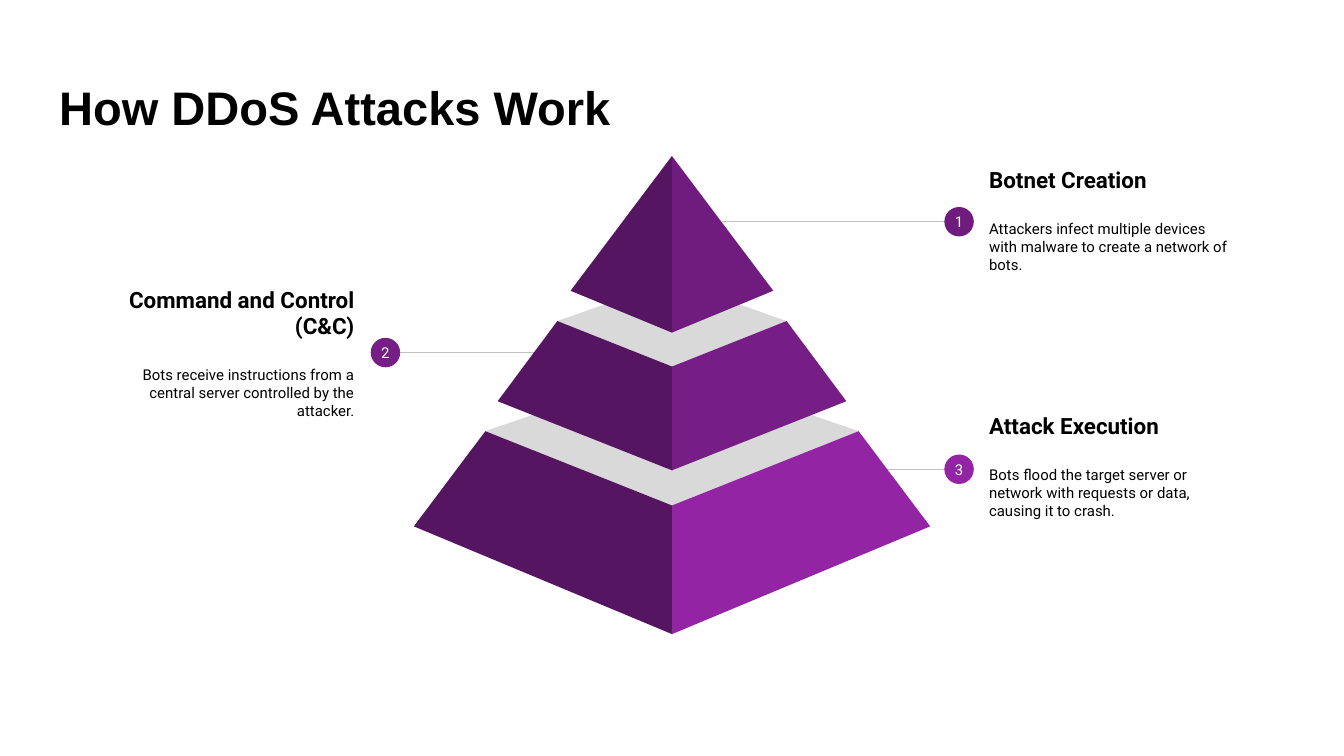
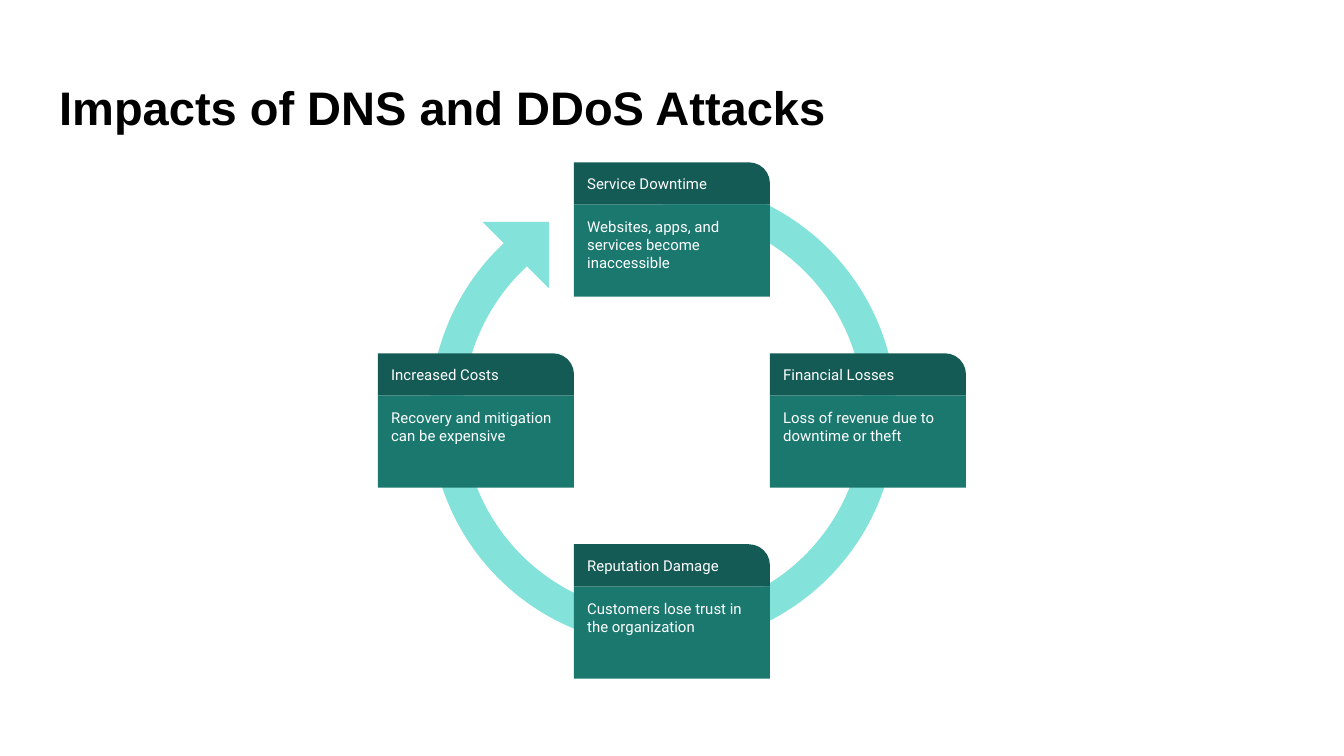
from dataclasses import dataclass

from lxml.etree import SubElement
from pptx import Presentation
from pptx.dml.color import RGBColor
from pptx.enum.shapes import MSO_CONNECTOR, MSO_SHAPE
from pptx.enum.text import MSO_ANCHOR as Anchor
from pptx.enum.text import MSO_AUTO_SIZE as AutoSize
from pptx.enum.text import PP_ALIGN as Align
from pptx.oxml.ns import qn
from pptx.util import Pt


@dataclass(frozen=True)
class Theme:
    title_font: str = "Arial"
    body_font: str = "Roboto"
    title_size: float = 25.2
    heading_size: float = 12
    body_size: float = 8
    inset: float = 7.2
    black: str = "000000"
    white: str = "FFFFFF"
    rule: str = "C2C2C2"
    cap: str = "D9D9D9"
    pyramid_shade: str = "561561"
    purples: tuple[str, ...] = ("701C7F", "771E86", "9325A5")
    card_header: str = "155B55"
    card_body: str = "1B786F"
    cycle: str = "83E3DA"


THEME = Theme()
Point = tuple[float, float]


@dataclass(frozen=True)
class Tier:
    """Points are offsets from the pyramid's axis, listed for the left half."""

    color: str
    left_face: tuple[Point, ...]
    cap_back: float | None = None


@dataclass(frozen=True)
class Callout:
    number: int
    heading: str
    detail: str
    color: str
    text_left: float
    text_top: float
    align: Align
    badge_center: Point
    line_start: float


@dataclass(frozen=True)
class Card:
    heading: str
    detail: str
    column: int
    row: int


AXIS = 360
TIERS = (
    Tier(THEME.purples[2], ((-100, 231), (-138.3, 282), (0, 339.7), (0, 270.8)), 196.5),
    Tier(THEME.purples[1], ((-61.4, 172), (-93.4, 215), (0, 252), (0, 196.4)), 150.5),
    Tier(THEME.purples[0], ((0, 83.6), (-54.3, 155.8), (0, 178.2))),
)

CALLOUT_WIDTH, CALLOUT_HEIGHT = 147, 108.7
BADGE_SIZE = 15.8
CALLOUTS = (
    Callout(1, "Botnet Creation",
            "Attackers infect multiple devices with malware to create a network of bots.",
            THEME.purples[0], 522.8, 63.4, Align.LEFT, (513.8, 118.8), 386.6),
    Callout(2, "Command and Control (C&C)",
            "Bots receive instructions from a central server controlled by the attacker.",
            THEME.purples[1], 50, 134.6, Align.RIGHT, (206.5, 188.9), 286),
    Callout(3, "Attack Execution",
            "Bots flood the target server or network with requests or data, causing it to crash.",
            THEME.purples[2], 522.8, 195.1, Align.LEFT, (513.8, 251.4), 475.2),
)

CARD_WIDTH, HEADER_HEIGHT, DETAIL_HEIGHT = 105, 22.5, 49.5
GRID_LEFT, GRID_TOP, ROW_STEP = 202.5, 87, 102.3
CARDS = (
    Card("Financial Losses", "Loss of revenue due to downtime or theft", 2, 1),
    Card("Service Downtime", "Websites, apps, and services become inaccessible", 1, 0),
    Card("Increased Costs", "Recovery and mitigation can be expensive", 0, 1),
    Card("Reputation Damage", "Customers lose trust in the organization", 1, 2),
)


def prepare_frame(frame, anchor: Anchor, inset: float = THEME.inset) -> None:
    frame.word_wrap = True
    frame.auto_size = AutoSize.NONE
    frame.vertical_anchor = anchor
    frame.margin_left = frame.margin_right = Pt(inset)
    frame.margin_top = frame.margin_bottom = Pt(inset)


def write(frame, text: str, *, size: float = THEME.body_size, color: str = THEME.black,
          font: str = THEME.body_font, bold: bool = False, align: Align = Align.LEFT,
          space_before: float = 0) -> None:
    """Fill the empty first paragraph, or add one after the existing text."""
    paragraph = frame.add_paragraph() if frame.text else frame.paragraphs[0]
    paragraph.alignment = align
    if space_before:
        paragraph.space_before = Pt(space_before)
    run = paragraph.add_run()
    run.text = text
    run.font.name = font
    run.font.size = Pt(size)
    run.font.bold = bold
    run.font.color.rgb = RGBColor.from_string(color)


def paint(shape, color: str) -> None:
    shape.shadow.inherit = False
    shape.fill.solid()
    shape.fill.fore_color.rgb = RGBColor.from_string(color)
    shape.line.fill.background()


def add_filled_shape(slide, kind: MSO_SHAPE, left: float, top: float,
                     width: float, height: float, color: str):
    shape = slide.shapes.add_shape(kind, Pt(left), Pt(top), Pt(width), Pt(height))
    paint(shape, color)
    return shape


def add_polygon(slide, points: list[Point], color: str) -> None:
    corners = [(Pt(AXIS + x), Pt(y)) for x, y in points]
    builder = slide.shapes.build_freeform(*corners[0])
    builder.add_line_segments(corners[1:], close=True)
    paint(builder.convert_to_shape(), color)


def add_titled_slide(presentation, text: str):
    slide = presentation.slides.add_slide(presentation.slide_layouts.get_by_name("Title Only"))
    title = slide.shapes.title
    title.left, title.top, title.width, title.height = Pt(24.5), Pt(35), Pt(671), Pt(45.1)
    prepare_frame(title.text_frame, Anchor.TOP)
    write(title.text_frame, text, size=THEME.title_size, font=THEME.title_font, bold=True)
    return slide


def add_tier(slide, tier: Tier) -> None:
    right_face = [(-x, y) for x, y in tier.left_face]
    if tier.cap_back is not None:
        cap = [tier.left_face[0], tier.left_face[-1], right_face[0], (0, tier.cap_back)]
        add_polygon(slide, cap, THEME.cap)
    add_polygon(slide, list(tier.left_face), THEME.pyramid_shade)
    add_polygon(slide, right_face, tier.color)


def add_callout(slide, callout: Callout) -> None:
    x, y = callout.badge_center
    line = slide.shapes.add_connector(MSO_CONNECTOR.STRAIGHT,
                                      Pt(callout.line_start), Pt(y), Pt(x), Pt(y))
    line.line.color.rgb = RGBColor.from_string(THEME.rule)
    line.line.width = Pt(0.75)
    SubElement(line._element.spPr, qn("a:effectLst"))

    box = slide.shapes.add_textbox(Pt(callout.text_left), Pt(callout.text_top),
                                   Pt(CALLOUT_WIDTH), Pt(CALLOUT_HEIGHT))
    prepare_frame(box.text_frame, Anchor.MIDDLE)
    write(box.text_frame, callout.heading, size=THEME.heading_size, bold=True,
          align=callout.align)
    write(box.text_frame, callout.detail, align=callout.align, space_before=14.2)

    badge = add_filled_shape(slide, MSO_SHAPE.OVAL, x - BADGE_SIZE / 2, y - BADGE_SIZE / 2,
                             BADGE_SIZE, BADGE_SIZE, callout.color)
    prepare_frame(badge.text_frame, Anchor.MIDDLE, inset=0)
    write(badge.text_frame, str(callout.number), color=THEME.white, align=Align.CENTER)


def add_card(slide, card: Card) -> None:
    left = GRID_LEFT + card.column * CARD_WIDTH
    top = GRID_TOP + card.row * ROW_STEP
    detail = add_filled_shape(slide, MSO_SHAPE.RECTANGLE, left, top + HEADER_HEIGHT,
                              CARD_WIDTH, DETAIL_HEIGHT, THEME.card_body)
    header = add_filled_shape(slide, MSO_SHAPE.ROUND_1_RECTANGLE, left, top,
                              CARD_WIDTH, HEADER_HEIGHT, THEME.card_header)
    header.adjustments[0] = 0.5
    for shape, text, anchor in ((detail, card.detail, Anchor.TOP),
                                (header, card.heading, Anchor.MIDDLE)):
        prepare_frame(shape.text_frame, anchor)
        write(shape.text_frame, text, color=THEME.white)


def add_cycle_arrow(slide) -> None:
    arc = add_filled_shape(slide, MSO_SHAPE.BLOCK_ARC, 230.4, 96.5, 249.8, 249.8, THEME.cycle)
    degree = 0.6  # one degree in adjustment units
    arc.adjustments[0] = 90 * degree
    arc.adjustments[1] = 50.2 * degree
    arc.adjustments[2] = 0.07
    head = add_filled_shape(slide, MSO_SHAPE.RIGHT_TRIANGLE, 258.5, 118.9, 35.6, 35.6,
                            THEME.cycle)
    arc.rotation = head.rotation = 180


def build_attack_slide(presentation) -> None:
    slide = add_titled_slide(presentation, "How DDoS Attacks Work")
    for callout in CALLOUTS:
        add_callout(slide, callout)
    for tier in TIERS:
        add_tier(slide, tier)


def build_impact_slide(presentation) -> None:
    slide = add_titled_slide(presentation, "Impacts of DNS and DDoS Attacks")
    add_cycle_arrow(slide)
    for card in CARDS:
        add_card(slide, card)


def main() -> None:
    presentation = Presentation()
    presentation.slide_width, presentation.slide_height = Pt(720), Pt(405)
    build_attack_slide(presentation)
    build_impact_slide(presentation)
    presentation.save("out.pptx")


if __name__ == "__main__":
    main()
